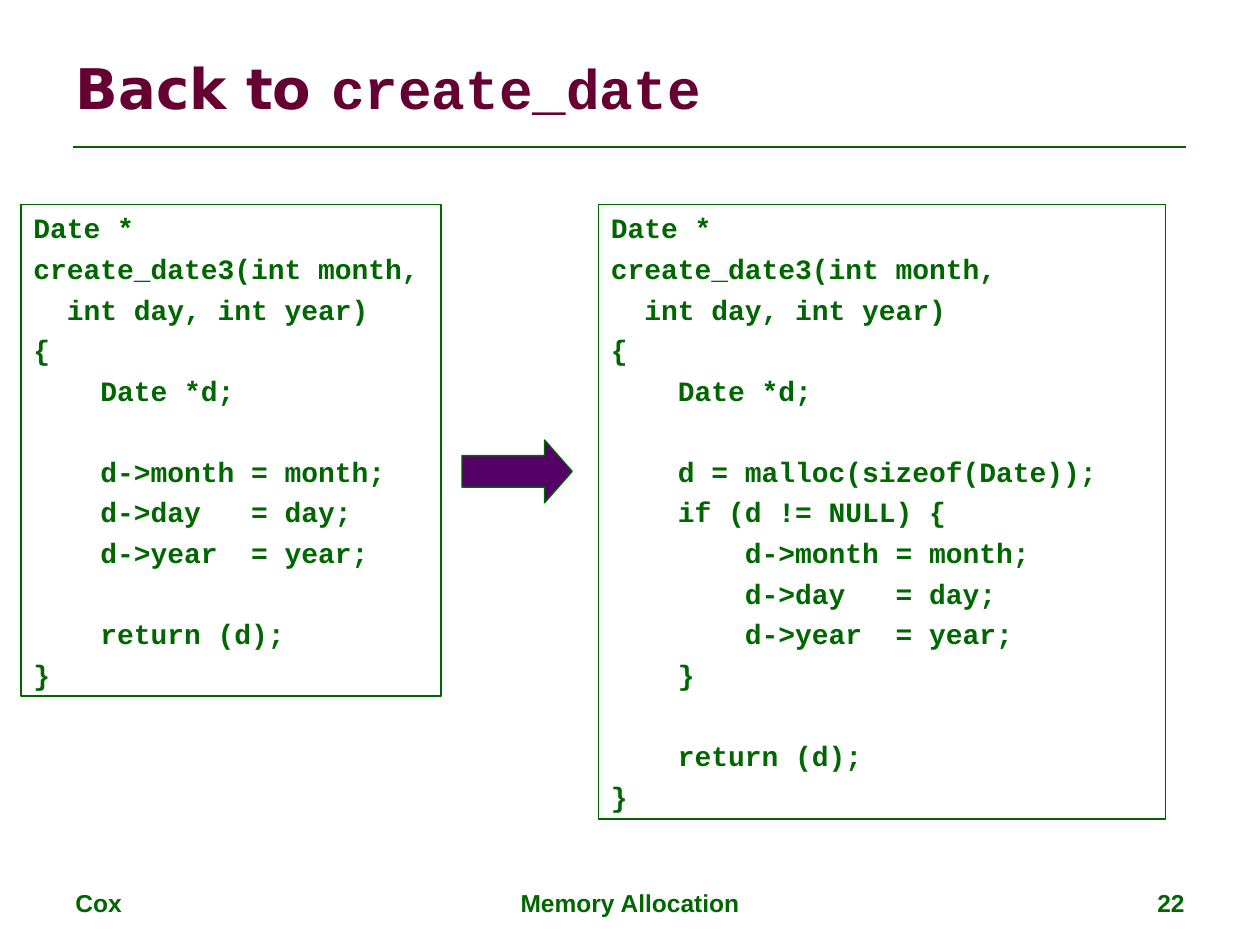
"""Build the slide that compares two versions of create_date3."""
from lxml.etree import SubElement
from pptx import Presentation
from pptx.dml.color import RGBColor
from pptx.enum.shapes import MSO_CONNECTOR, MSO_SHAPE
from pptx.enum.text import MSO_ANCHOR, MSO_AUTO_SIZE, PP_ALIGN
from pptx.oxml.ns import qn
from pptx.text.text import Font
from pptx.util import Inches, Pt

COLORS = {"text": "006600", "title": "660033", "arrow": "550066"}
COLUMNS, ROWS = 60, 45
CODE_TOP, CODE_ROW = 9.75, 1.95

BEFORE = """Date *
create_date3(int month,
  int day, int year)
{
    Date *d;

    d->month = month;
    d->day   = day;
    d->year  = year;

    return (d);
}"""

AFTER = """Date *
create_date3(int month,
  int day, int year)
{
    Date *d;

    d = malloc(sizeof(Date));
    if (d != NULL) {
        d->month = month;
        d->day   = day;
        d->year  = year;
    }

    return (d);
}"""


def grid(*cells):
    """Turn counts of grid cells into lengths."""
    return [Inches(10 * cell / COLUMNS) for cell in cells]


def color(name):
    """Look up a named colour."""
    return RGBColor.from_string(COLORS[name])


def style(font, face, size, tint="text"):
    """Set a bold font."""
    font.name, font.size, font.bold = face, Pt(size), True
    font.color.rgb = color(tint)


def add_title(slide, words, function_name):
    """Fill the title with words followed by a function name."""
    title = slide.shapes.title
    title.left, title.top, title.width, title.height = grid(3, 1.8, 54, 4.7)
    frame = title.text_frame
    frame.vertical_anchor = MSO_ANCHOR.MIDDLE
    heading = frame.paragraphs[0]
    heading.alignment = PP_ALIGN.LEFT
    for text, face in ((words, "DejaVu Sans"), (function_name, "Courier New")):
        run = heading.add_run()
        run.text = text
        style(run.font, face, 32, "title")


def add_rule(slide):
    """Draw the line under the title."""
    rule = slide.shapes.add_connector(MSO_CONNECTOR.STRAIGHT, *grid(3.5, 7, 56.5, 7))
    rule.line.color.rgb = color("text")
    rule.line.width = Pt(1.5)
    SubElement(rule._element.spPr, qn("a:effectLst"))


def add_footer(slide, text, column, span, alignment):
    """Place one part of the footer."""
    footer = slide.shapes.add_textbox(*grid(column, 42, span, 2.1))
    frame = footer.text_frame
    frame.word_wrap = True
    frame.text = text
    frame.paragraphs[0].alignment = alignment
    style(frame.paragraphs[0].runs[0].font, "Arial", 14)


def add_outlined(slide, kind, *cells):
    """Add a thinly outlined shape without shadow."""
    shape = slide.shapes.add_shape(kind, *grid(*cells))
    shape.shadow.inherit = False
    shape.line.color.rgb = color("text")
    shape.line.width = Pt(0.75)
    return shape


def add_code(slide, code, column, span):
    """Show a listing in a box as tall as its lines need."""
    lines = code.split("\n")
    listing = add_outlined(slide, MSO_SHAPE.RECTANGLE,
                           column, CODE_TOP, span, len(lines) * CODE_ROW)
    listing.fill.background()
    frame = listing.text_frame
    frame.word_wrap = True
    frame.auto_size = MSO_AUTO_SIZE.SHAPE_TO_FIT_TEXT
    frame.vertical_anchor = MSO_ANCHOR.TOP
    frame.text = code
    for number, line in enumerate(frame.paragraphs):
        line.alignment = PP_ALIGN.LEFT
        line.space_before = Pt(4 if number else 0)
        style(Font(line._p.get_or_add_endParaRPr()), "Courier New", 16)
        for run in line.runs:
            style(run.font, "Courier New", 16)


def add_arrow(slide):
    """Point from the first listing to the second."""
    arrow = add_outlined(slide, MSO_SHAPE.RIGHT_ARROW, 22, 20.95, 5.25, 3)
    arrow.adjustments[0], arrow.adjustments[1] = 0.5, 0.44
    arrow.fill.solid()
    arrow.fill.fore_color.rgb = color("arrow")


def main():
    """Build and save the slide."""
    deck = Presentation()
    deck.slide_width, deck.slide_height = grid(COLUMNS, ROWS)
    slide = deck.slides.add_slide(deck.slide_layouts[5])
    add_rule(slide)
    add_footer(slide, "Cox", 3, 14, PP_ALIGN.LEFT)
    add_footer(slide, "Memory Allocation", 20.5, 19, PP_ALIGN.CENTER)
    add_footer(slide, "22", 43, 14, PP_ALIGN.RIGHT)
    add_title(slide, "Back to ", "create_date")
    add_code(slide, BEFORE, 1, 20)
    add_arrow(slide)
    add_code(slide, AFTER, 28.5, 27)
    deck.save("out.pptx")


if __name__ == "__main__":
    main()
